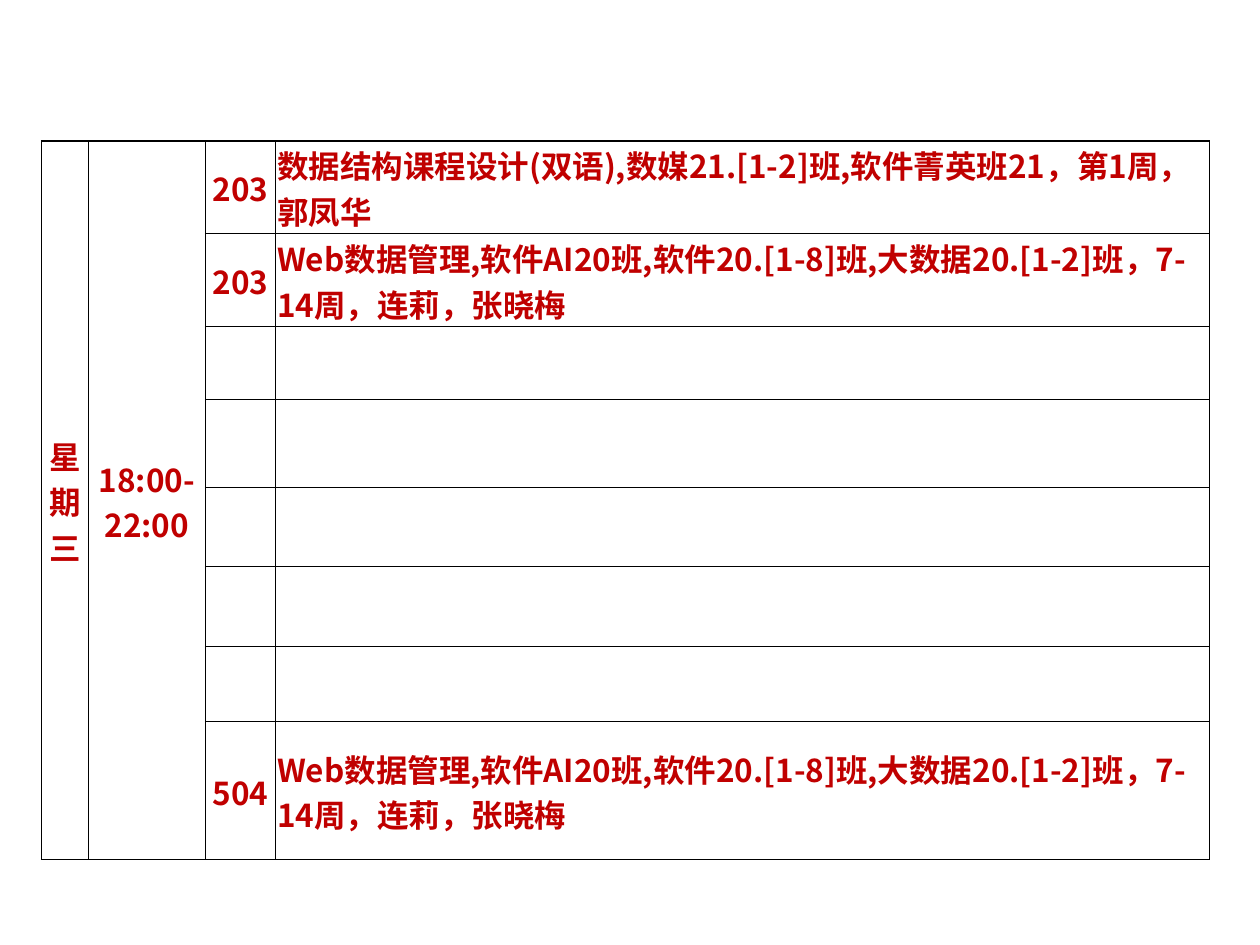
from lxml.etree import SubElement
from pptx import Presentation
from pptx.dml.color import RGBColor
from pptx.enum.text import MSO_ANCHOR, PP_ALIGN
from pptx.oxml.ns import qn
from pptx.util import Inches, Pt

COLORS = {"text": "C00000", "border": "000000"}
FONT = "Noto Sans CJK SC"
THIN, THICK = 0.5, 1

COLUMN_WIDTHS = [0.37, 0.93, 0.56, 7.41]
ROW_HEIGHTS = [0.66, 0.66, 0.58, 0.7, 0.63, 0.63, 0.6, 0.61]
DAY, HOURS, ROOM, COURSE = range(4)

DATA_STRUCTURES = "数据结构课程设计(双语),数媒21.[1-2]班,软件菁英班21，第1周，郭凤华"
WEB_DATA = "Web数据管理,软件AI20班,软件20.[1-8]班,大数据20.[1-2]班，7-14周，连莉，张晓梅"
BOOKINGS = {0: ("203", DATA_STRUCTURES), 1: ("203", WEB_DATA), 7: ("504", WEB_DATA)}


class Timetable:
    def __init__(self, slide):
        self.slide = slide

    def add_grid(self, left, top):
        frame = self.slide.shapes.add_table(
            len(ROW_HEIGHTS), len(COLUMN_WIDTHS), Inches(left), Inches(top),
            Inches(sum(COLUMN_WIDTHS)), Inches(sum(ROW_HEIGHTS)))
        grid = frame.table
        grid.first_row = grid.horz_banding = False
        for column, width in zip(grid.columns, COLUMN_WIDTHS):
            column.width = Inches(width)
        for row, height in zip(grid.rows, ROW_HEIGHTS):
            row.height = Inches(height)
        last = len(ROW_HEIGHTS) - 1
        for r in range(last + 1):
            for c in range(len(COLUMN_WIDTHS)):
                cell = grid.cell(r, c)
                self.add_borders(cell, {
                    "L": THICK if c == DAY else THIN,
                    "R": THICK if c == COURSE else THIN,
                    "T": THICK if r == 0 else THIN,
                    "B": THICK if r == last and c <= HOURS else THIN,
                })
                cell.fill.background()
        for c in (DAY, HOURS):
            grid.cell(0, c).merge(grid.cell(last, c))
        return grid

    def add_borders(self, cell, widths):
        properties = cell._tc.get_or_add_tcPr()
        for side, width in widths.items():
            line = SubElement(properties, qn(f"a:ln{side}"), w=str(Pt(width)))
            fill = SubElement(line, qn("a:solidFill"))
            SubElement(fill, qn("a:srgbClr"), val=COLORS["border"])

    def set_entry(self, cell, text, align=PP_ALIGN.CENTER):
        cell.text = text
        cell.vertical_anchor = MSO_ANCHOR.MIDDLE
        cell.margin_left = cell.margin_right = cell.margin_top = Inches(0.01)
        cell.margin_bottom = 0
        paragraph = cell.text_frame.paragraphs[0]
        paragraph.alignment = align
        font = paragraph.font
        font.name, font.size, font.bold = FONT, Pt(18), True
        font.color.rgb = RGBColor.from_string(COLORS["text"])
        defaults = paragraph._p.get_or_add_pPr().get_or_add_defRPr()
        SubElement(defaults, qn("a:ea"), typeface=FONT)


def main():
    prs = Presentation()
    prs.slide_width, prs.slide_height = Inches(10), Inches(7.5)
    timetable = Timetable(prs.slides.add_slide(prs.slide_layouts[6]))
    grid = timetable.add_grid(0.33, 1.12)
    timetable.set_entry(grid.cell(0, DAY), "星期三")
    timetable.set_entry(grid.cell(0, HOURS), "18:00-22:00")
    for row, (room, course) in BOOKINGS.items():
        timetable.set_entry(grid.cell(row, ROOM), room)
        timetable.set_entry(grid.cell(row, COURSE), course, PP_ALIGN.LEFT)
    prs.save("out.pptx")


if __name__ == "__main__":
    main()
